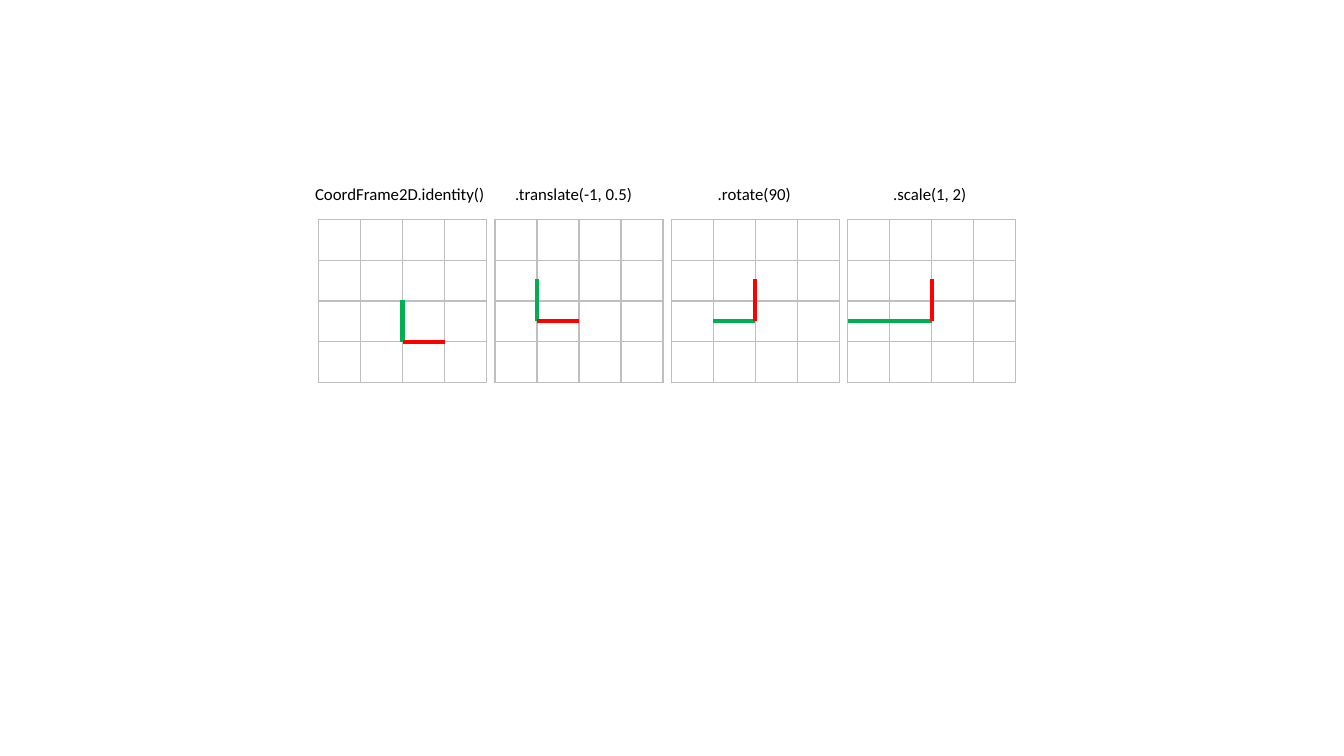
from lxml import etree
from pptx import Presentation
from pptx.dml.color import RGBColor
from pptx.enum.shapes import MSO_CONNECTOR, MSO_SHAPE
from pptx.enum.text import MSO_ANCHOR, PP_ALIGN
from pptx.oxml.ns import qn
from pptx.util import Inches, Pt

LINE, RECT = MSO_CONNECTOR.STRAIGHT, MSO_SHAPE.RECTANGLE
TOP, LEFT = MSO_ANCHOR.TOP, PP_ALIGN.LEFT
WHITE = RGBColor(0xFF, 0xFF, 0xFF)
BLACK = RGBColor(0x00, 0x00, 0x00)
GREY = RGBColor(0xBF, 0xBF, 0xBF)
RED = RGBColor(0xFF, 0x00, 0x00)
GREEN = RGBColor(0x00, 0xB0, 0x50)

W, H = Inches(13.33), Inches(7.5)
CELLS = 4
COL, ROW = W / 32, H * 0.054
GRID_X, GRID_Y = W * 0.237, H * 0.29
PITCH = COL * 4.2
LABEL_X = W * 0.227
INSET = Inches(0.1)

# label, label start, origin (column, row), x axis and y axis as (columns, rows)
FRAMES = [
    ("CoordFrame2D.identity()", 3.13, (2, 3), (1, 0), (0, -1)),
    (".translate(-1, 0.5)", 5.11, (1, 2.5), (1, 0), (0, -1)),
    (".rotate(90)", 7.12, (2, 2.5), (0, -1), (-1, 0)),
    (".scale(1, 2)", 8.86, (2, 2.5), (0, -1), (-2, 0)),
]


def add_grid(s, left):
    """Add an empty table with thin grey borders."""
    table = s.shapes.add_table(CELLS, CELLS, int(left), int(GRID_Y),
                               int(COL * CELLS), int(ROW * CELLS)).table
    table.first_row = table.horz_banding = False
    for cell in table.iter_cells():
        tcPr = cell._tc.get_or_add_tcPr()
        for side in ("a:lnL", "a:lnR", "a:lnT", "a:lnB"):
            ln = etree.SubElement(tcPr, qn(side), w=str(Pt(1)))
            fill = etree.SubElement(ln, qn("a:solidFill"))
            etree.SubElement(fill, qn("a:srgbClr"), val=str(GREY))
        cell.fill.background()


def add_axis(group, x, y, step, color):
    """Add one axis from (x, y) along a step of columns and rows."""
    line = group.shapes.add_connector(LINE, int(x), int(y),
                                      int(x + step[0] * COL), int(y + step[1] * COL))
    line.line.color.rgb = color
    line.line.width = Pt(3)
    etree.SubElement(line._element.spPr, qn("a:effectLst"))


prs = Presentation()
prs.slide_width, prs.slide_height = W, H
s = prs.slides.add_slide(prs.slide_layouts[6])

sp = s.shapes.add_shape(RECT, int(LABEL_X), int(H * 0.232), int(W * 0.527), int(H * 0.043))
sp.shadow.inherit = False
sp.fill.solid()
sp.fill.fore_color.rgb = WHITE
sp.line.fill.background()
tf = sp.text_frame
tf.word_wrap = True
tf.vertical_anchor = TOP
tf.margin_left = tf.margin_right = INSET
p = tf.paragraphs[0]
p.alignment = LEFT
p.line_spacing = 1.15
p.space_after = Pt(10)
tabs = etree.SubElement(p._p.get_or_add_pPr(), qn("a:tabLst"))

for i, (label, start, origin, x_axis, y_axis) in enumerate(FRAMES):
    if i:
        stop = int(Inches(start) - LABEL_X - INSET)
        etree.SubElement(tabs, qn("a:tab"), pos=str(stop), algn="l")
    r = p.add_run()
    r.text = "\t" + label if i else label
    r.font.name = "Calibri"
    r.font.size = Pt(12)
    r.font.color.rgb = BLACK

    left = GRID_X + i * PITCH
    add_grid(s, left)
    x, y = left + origin[0] * COL, GRID_Y + origin[1] * ROW
    axes = s.shapes.add_group_shape()
    add_axis(axes, x, y, y_axis, GREEN)
    add_axis(axes, x, y, x_axis, RED)

prs.save("out.pptx")
